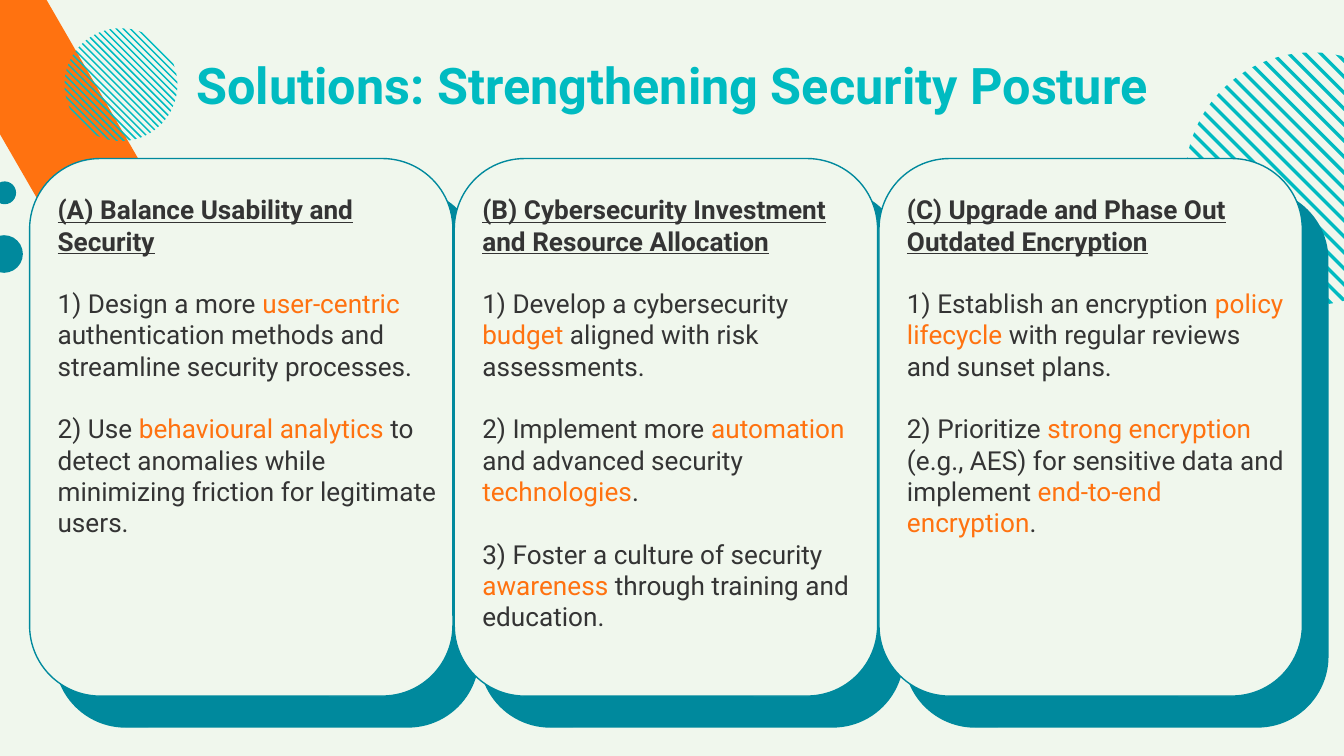
import math

from pptx import Presentation
from pptx.dml.color import RGBColor
from pptx.enum.shapes import MSO_SHAPE
from pptx.enum.text import MSO_ANCHOR, PP_ALIGN
from pptx.util import Inches, Pt

ELLIPSE = MSO_SHAPE.OVAL
ROUND_RECT = MSO_SHAPE.ROUNDED_RECTANGLE
TOP = MSO_ANCHOR.TOP
LEFT, CENTER = PP_ALIGN.LEFT, PP_ALIGN.CENTER

PALE = RGBColor(0xF0, 0xF7, 0xED)
TEAL = RGBColor(0x00, 0x89, 0x9D)
CYAN = RGBColor(0x00, 0xBB, 0xC1)
ORANGE = RGBColor(0xFF, 0x72, 0x10)
DARK = RGBColor(0x34, 0x34, 0x34)

FONT = "Roboto"
CARD_PITCH = 3.16
STRIPE_SHARE = 0.3  # stripe width as a share of the stripe pitch

# Heading and points of each card; *asterisks* enclose highlighted words
CARDS = [
    ("(A) Balance Usability and Security", [
        "1) Design a more *user-centric* authentication methods and "
        "streamline security processes.",
        "2) Use *behavioural analytics *to detect anomalies while "
        "minimizing friction for legitimate users.",
    ]),
    ("(B) Cybersecurity Investment and Resource Allocation", [
        "1) Develop a cybersecurity *budget* aligned with risk assessments.",
        "2) Implement more *automation* and advanced security *technologies*.",
        "3) Foster a culture of security *awareness* through training and "
        "education.",
    ]),
    ("(C) Upgrade and Phase Out Outdated Encryption", [
        "1) Establish an encryption *policy lifecycle* with regular reviews "
        "and sunset plans.",
        "2) Prioritize *strong encryption* (e.g., AES) for sensitive data and "
        "implement *end-to-end encryption*.",
    ]),
]


def paint(sp, fill, line=None):
    sp.shadow.inherit = False
    sp.fill.solid()
    sp.fill.fore_color.rgb = fill
    if line is None:
        sp.line.fill.background()
    else:
        sp.line.color.rgb = line
        sp.line.width = Pt(0.75)


def add_shape(s, kind, x, y, w, h, fill, line=None):
    sp = s.shapes.add_shape(kind, Inches(x), Inches(y), Inches(w), Inches(h))
    paint(sp, fill, line)
    return sp


def add_text_box(s, x, y, w, h):
    tf = s.shapes.add_textbox(Inches(x), Inches(y), Inches(w), Inches(h)).text_frame
    tf.word_wrap = True
    tf.vertical_anchor = TOP
    tf.margin_left = tf.margin_right = Inches(0.1)
    tf.margin_top = tf.margin_bottom = Inches(0.1)
    return tf


def write(p, text, size=14, color=DARK, bold=False, underline=False,
          align=LEFT, before=0):
    p.alignment = align
    p.space_before = Pt(before)
    for i, part in enumerate(text.split("*")):
        if not part:
            continue
        r = p.add_run()
        r.text = part
        r.font.name = FONT
        r.font.size = Pt(size)
        r.font.bold = bold
        r.font.underline = underline
        r.font.color.rgb = ORANGE if i % 2 else color


def chord(cx, cy, radius, offset):
    """Ends of the chord on the line x - y = offset."""
    d = (offset - cx + cy) / 2
    half = math.sqrt(radius ** 2 / 2 - d ** 2)
    return [(Inches(cx + d + k), Inches(cy - d + k)) for k in (-half, half)]


def add_striped_circle(s, cx, cy, radius, first, last, count):
    group = s.shapes.add_group_shape()
    pitch = (first - last) / (count - 1)
    for i in range(count):
        offset = first - i * pitch
        start, end = chord(cx, cy, radius, offset)
        far_start, far_end = chord(cx, cy, radius, offset + STRIPE_SHARE * pitch)
        builder = group.shapes.build_freeform(*start)
        builder.add_line_segments([end, far_end, far_start], close=True)
        paint(builder.convert_to_shape(), CYAN)


def add_decoration(s):
    add_striped_circle(s, 9.76, 1.33, 0.94, 9.53, 7.39, 19)
    band = add_shape(s, ROUND_RECT, -3.34, -0.85, 5.93, 0.8, ORANGE)
    band.adjustments[0] = 0.5
    band.rotation = 60
    add_striped_circle(s, 0.9, 0.63, 0.42, 0.8, -0.29, 22)
    add_shape(s, ELLIPSE, -0.11, 1.75, 0.28, 0.28, TEAL)
    add_shape(s, ELLIPSE, -0.05, 1.35, 0.17, 0.17, TEAL)


def add_card(s, x, heading, points):
    # Offset backing, then the card itself
    for dx, y, fill in ((0.19, 1.41, TEAL), (0, 1.18, PALE)):
        sp = add_shape(s, ROUND_RECT, x + dx, y, 3.15, 4, fill, TEAL)
        sp.adjustments[0] = 1 / 6
    tf = add_text_box(s, x + 0.11, 1.34, 3.05, 3.93)
    write(tf.paragraphs[0], heading, bold=True, underline=True)
    for point in points:
        write(tf.add_paragraph(), point, before=16.7)


def main():
    prs = Presentation()
    # Widescreen, 16:9
    prs.slide_width = Inches(10)
    prs.slide_height = Inches(10 * 9 / 16)
    s = prs.slides.add_slide(prs.slide_layouts[6])
    s.background.fill.solid()
    s.background.fill.fore_color.rgb = PALE

    add_decoration(s)

    # Title
    tf = add_text_box(s, 1.3, 0.3, 7.4, 0.56)
    write(tf.paragraphs[0], "Solutions: Strengthening Security Posture",
          size=27, color=CYAN, bold=True, align=CENTER)

    # Three solution cards
    for i, (heading, points) in enumerate(CARDS):
        add_card(s, 0.22 + i * CARD_PITCH, heading, points)

    prs.save("out.pptx")


if __name__ == "__main__":
    main()
